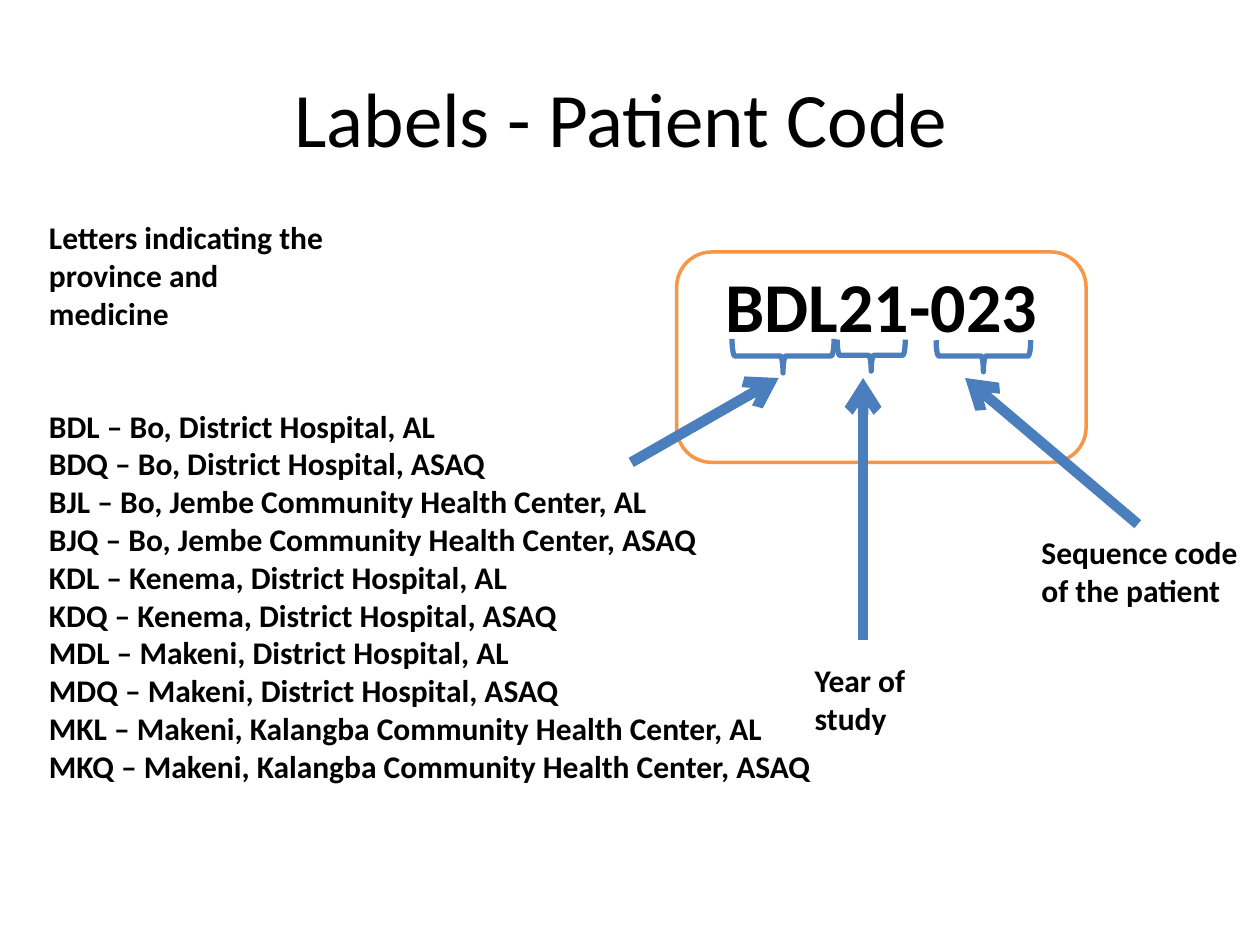
from dataclasses import dataclass
from itertools import product

from lxml.etree import SubElement
from pptx import Presentation
from pptx.dml.color import RGBColor
from pptx.enum.shapes import MSO_CONNECTOR as CONN, MSO_SHAPE as SHAPE
from pptx.enum.text import MSO_ANCHOR as ANCHOR, PP_ALIGN as ALIGN
from pptx.oxml.ns import qn
from pptx.util import Inches, Pt


@dataclass(frozen=True)
class Theme:
    """Colours, font and type sizes of the slide."""
    font: str = "Calibri"
    ink: RGBColor = RGBColor(0x00, 0x00, 0x00)
    paper: RGBColor = RGBColor(0xFF, 0xFF, 0xFF)
    blue: RGBColor = RGBColor(0x4B, 0x7E, 0xBC)
    orange: RGBColor = RGBColor(0xF7, 0x96, 0x46)
    title: int = 44
    code: int = 40
    body: int = 18
    gap: int = 43


THEME = Theme()
COLS, ROWS = 100, 75
CELL = Inches(10) // COLS
SITES = {
    "BD": "Bo, District Hospital",
    "BJ": "Bo, Jembe Community Health Center",
    "KD": "Kenema, District Hospital",
    "MD": "Makeni, District Hospital",
    "MK": "Makeni, Kalangba Community Health Center",
}
MEDICINES = {"L": "AL", "Q": "ASAQ"}
BRACES = [(58.1, 26.9, 8.1, 2.7), (66.45, 26.95, 5.4, 2.5),
          (74.3, 27, 7.5, 2.5)]
ARROWS = [(50.1, 36.7, 61.8, 30), (68.5, 50.8, 68.5, 30),
          (90.3, 41.6, 76.6, 30)]


def grid(*cells):
    """Turn grid columns and rows into lengths."""
    return [round(c * CELL) for c in cells]


def apply(obj, values):
    """Set each named attribute on an object."""
    for name, value in values.items():
        setattr(obj, name, value)


def write(tf, lines, size, bold=True, align=ALIGN.LEFT):
    """Fill a text frame with one paragraph per line."""
    tf.word_wrap = True
    for i, line in enumerate(lines):
        p = tf.add_paragraph() if i else tf.paragraphs[0]
        p.text, p.alignment = line, align
        for r in p.runs:
            apply(r.font, {"name": THEME.font, "size": Pt(size), "bold": bold})
            r.font.color.rgb = THEME.ink


def add_title(s, text):
    """Move and format the title placeholder."""
    sp = s.shapes.title
    apply(sp, dict(zip(("left", "top", "width", "height"), grid(5, 3, 90, 12.5))))
    write(sp.text_frame, [text], THEME.title, False, ALIGN.CENTER)
    sp.text_frame.vertical_anchor = ANCHOR.MIDDLE


def add_panel(s, box, lines, size=THEME.body, align=ALIGN.LEFT,
              line=None, top=None):
    """Add a white rounded panel, anchored at the top if an inset is given."""
    sp = s.shapes.add_shape(SHAPE.ROUNDED_RECTANGLE, *grid(*box))
    sp.shadow.inherit = False
    sp.fill.solid()
    sp.fill.fore_color.rgb = THEME.paper
    if line is None:
        sp.line.fill.background()
    else:
        sp.line.color.rgb, sp.line.width = line, Pt(2)
    tf = sp.text_frame
    write(tf, lines, size, align=align)
    tf.vertical_anchor = ANCHOR.MIDDLE
    if top is not None:
        apply(tf, {"vertical_anchor": ANCHOR.TOP, "margin_top": grid(top)[0]})
    return sp


def add_brace(s, left, top, span, depth):
    """Add a brace that opens upwards, placed by its box as it shows."""
    x = left + (span - depth) / 2
    y = top - (span - depth) / 2
    sp = s.shapes.add_shape(SHAPE.LEFT_BRACE, *grid(x, y, depth, span))
    sp.rotation = 270
    sp.shadow.inherit = False
    sp.fill.background()
    sp.line.color.rgb, sp.line.width = THEME.blue, Pt(3)


def add_arrow(s, ends):
    """Add a thick line with an open arrowhead at its end."""
    c = s.shapes.add_connector(CONN.STRAIGHT, *grid(*ends))
    c.line.color.rgb, c.line.width = THEME.blue, Pt(6)
    props = c._element.spPr
    SubElement(props.find(qn("a:ln")), qn("a:tailEnd"), type="arrow")
    SubElement(props, qn("a:effectLst"))


def main():
    """Build the slide and save it."""
    prs = Presentation()
    prs.slide_width, prs.slide_height = grid(COLS, ROWS)
    s = prs.slides.add_slide(prs.slide_layouts[5])
    add_title(s, "Labels - Patient Code ")

    codes = [f"{site}{med} – {SITES[site]}, {MEDICINES[med]}"
             for site, med in product(SITES, MEDICINES)]
    intro = "Letters indicating the \vprovince and\vmedicine"
    sp = add_panel(s, (0, 12.7, 72.8, 59.5), [intro, *codes], top=1.7)
    sp.text_frame.paragraphs[1].space_before = Pt(THEME.gap)

    add_panel(s, (53.7, 20, 32.5, 16.7), ["BDL21-023"], THEME.code,
              ALIGN.CENTER, THEME.orange, 0)
    add_panel(s, (81.2, 40.4, 18.6, 9.8), ["Sequence code of the patient"])
    add_panel(s, (63.2, 50.6, 18.6, 9.8), ["Year of", "study"])
    for brace in BRACES:
        add_brace(s, *brace)
    for ends in ARROWS:
        add_arrow(s, ends)
    prs.save("out.pptx")


if __name__ == "__main__":
    main()
